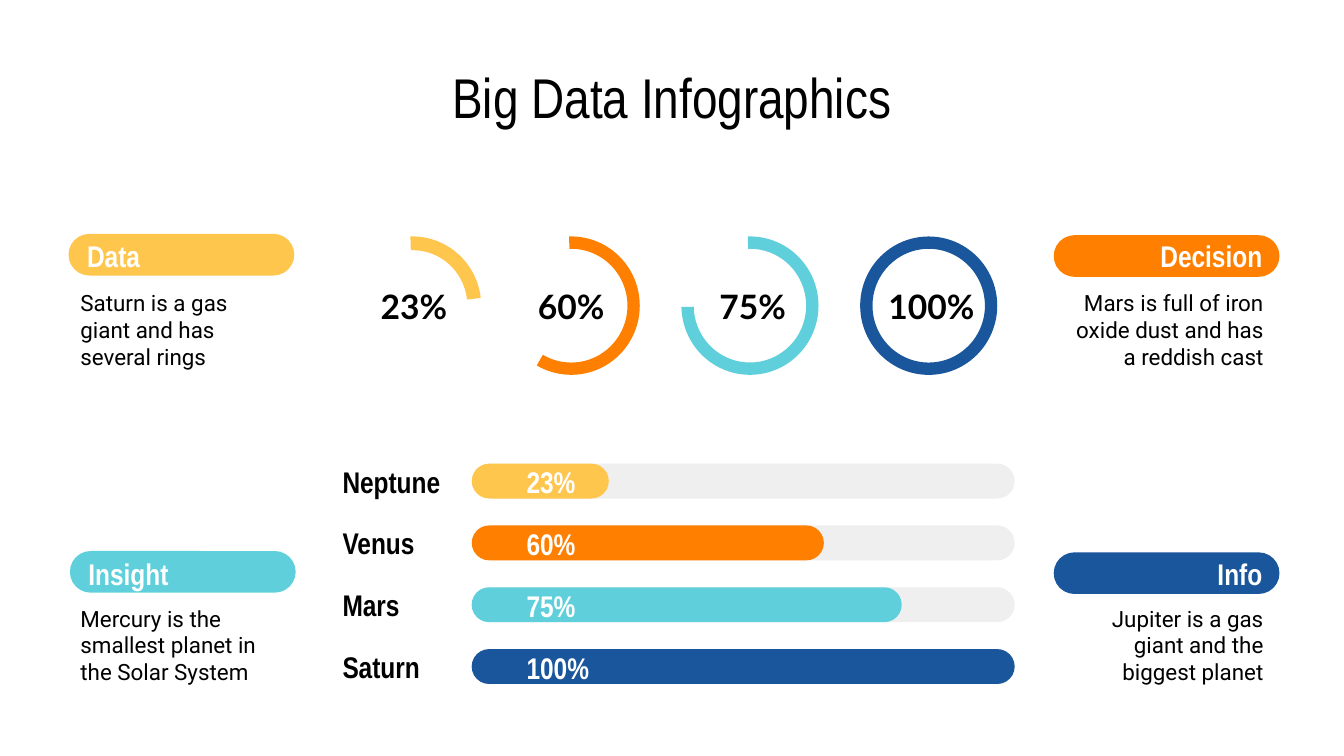
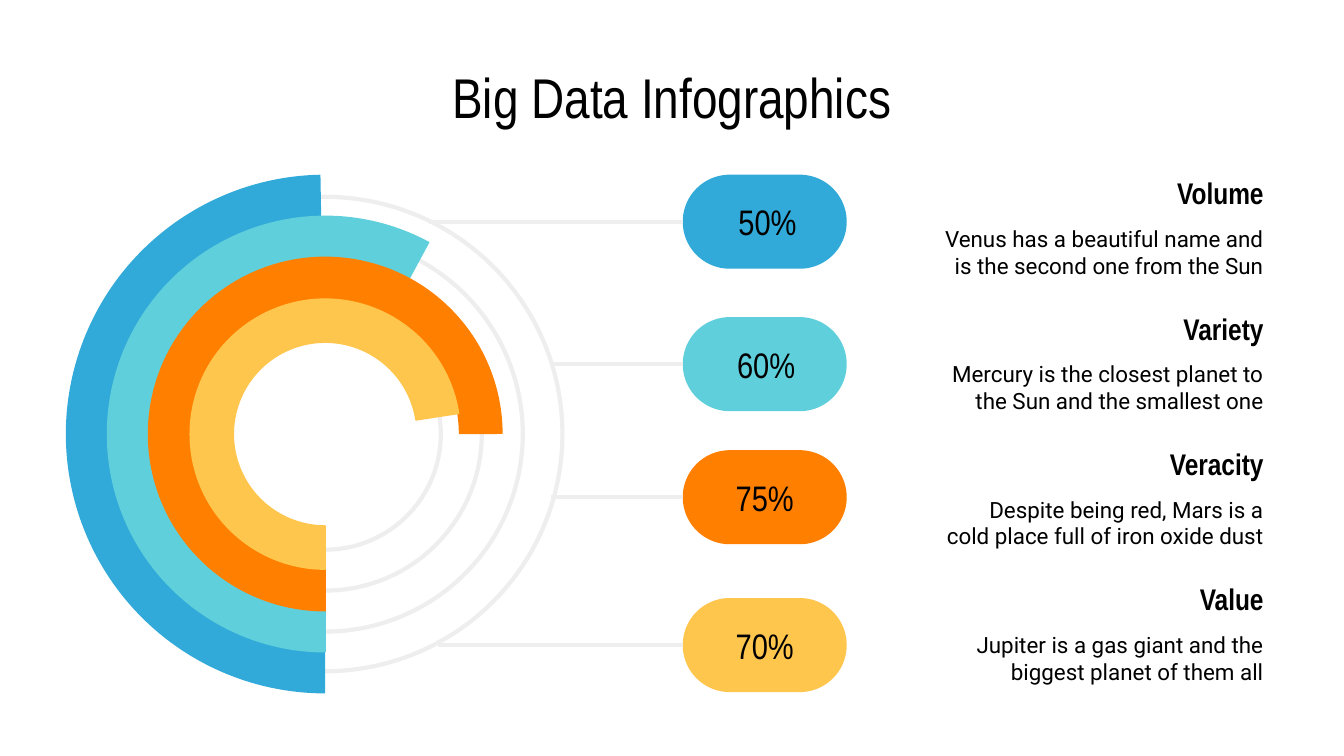
from dataclasses import dataclass
from typing import NamedTuple, Optional

from lxml.etree import SubElement
from pptx import Presentation
from pptx.dml.color import RGBColor
from pptx.enum.shapes import MSO_CONNECTOR, MSO_SHAPE
from pptx.enum.text import MSO_ANCHOR, PP_ALIGN
from pptx.oxml.ns import qn
from pptx.shapes.autoshape import Shape
from pptx.slide import Slide
from pptx.util import Inches, Pt


class Style(NamedTuple):
    font: str
    size: int
    color: str = "000000"
    bold: bool = False


@dataclass(frozen=True)
class Theme:
    gold: str = "FFC64E"
    orange: str = "FF8001"
    teal: str = "5FD0DB"
    navy: str = "1A569C"
    blue: str = "32AAD9"
    track: str = "EFEFEF"
    rule: str = "EEEEEE"
    rule_width: float = 2.25
    edge_width: float = 0.75
    title: Style = Style("Arial Narrow", 30)
    head: Style = Style("Arial Narrow", 16, bold=True)
    tag: Style = Style("Arial Narrow", 16, "FFFFFF", True)
    pill: Style = Style("Arial Narrow", 19)
    dial: Style = Style("Lato", 18, bold=True)
    body: Style = Style("Roboto", 12)


THEME = Theme()
LEFT, CENTER, RIGHT = PP_ALIGN.LEFT, PP_ALIGN.CENTER, PP_ALIGN.RIGHT


class Box(NamedTuple):
    left: float
    top: float
    width: float
    height: float

    def place(self) -> list[int]:
        return [Inches(side) for side in self]


class Card(NamedTuple):
    head: str
    body: str
    color: str
    tag_left: float
    tag_top: float
    head_left: float
    head_top: float
    body_left: float
    body_top: float
    align: PP_ALIGN


class Dial(NamedTuple):
    value: str
    color: str
    left: float
    text_left: float
    band: float
    end: Optional[float]


class Bar(NamedTuple):
    name: str
    value: str
    color: str
    width: float


class Ring(NamedTuple):
    color: str
    size: float
    band: float
    end: float
    edge: bool = True


class Point(NamedTuple):
    head: str
    body: str
    value: str
    color: str
    top: float
    text_left: float
    line_end: float


CARDS = [
    Card("Data", "Saturn is a gas giant and has several rings",
         THEME.gold, 0.51, 1.74, 0.55, 1.79, 0.5, 2.05, LEFT),
    Card("Decision", "Mars is full of iron oxide dust and has a reddish cast",
         THEME.orange, 7.84, 1.75, 8.42, 1.79, 7.82, 2.05, RIGHT),
    Card("Insight", "Mercury is the smallest planet in the Solar System",
         THEME.teal, 0.52, 4.1, 0.56, 4.15, 0.5, 4.4, LEFT),
    Card("Info", "Jupiter is a gas giant and the biggest planet",
         THEME.navy, 7.84, 4.11, 8.42, 4.15, 7.82, 4.4, RIGHT),
]
DIALS = [
    Dial("23%", THEME.gold, 2.56, 2.57, 0.1, 353.6),
    Dial("60%", THEME.orange, 3.74, 3.74, 0.09, 119.98),
    Dial("75%", THEME.teal, 5.07, 5.09, 0.09, 178.88),
    Dial("100%", THEME.navy, 6.4, 6.42, 0.09, None),
]
BARS = [
    Bar("Neptune", "23%", THEME.gold, 1.02),
    Bar("Venus", "60%", THEME.orange, 2.62),
    Bar("Mars", "75%", THEME.teal, 3.2),
    Bar("Saturn", "100%", THEME.navy, 4.04),
]
TRACKS = [2.94, 3.53, 2.33, 1.72]
RINGS = [
    Ring(THEME.blue, 3.86, 0.08, 268.95, False),
    Ring(THEME.teal, 3.24, 0.1, 298.36),
    Ring(THEME.orange, 2.63, 0.12, 359.76),
    Ring(THEME.gold, 2.01, 0.16, 351.19),
]
POINTS = [
    Point("Volume", "Venus has a beautiful name and is the second one from the Sun",
          "50%", THEME.blue, 1.3, 5.22, 3.19),
    Point("Variety", "Mercury is the closest planet to the Sun and the smallest one",
          "60%", THEME.teal, 2.36, 5.21, 4.1),
    Point("Veracity", "Despite being red, Mars is a cold place full of iron oxide dust",
          "75%", THEME.orange, 3.35, 5.2, 4.1),
    Point("Value", "Jupiter is a gas giant and the biggest planet of them all",
          "70%", THEME.gold, 4.45, 5.2, 3.26),
]


def add_form(slide: Slide, kind: MSO_SHAPE, box: Box, fill: Optional[str],
             line: Optional[str] = None, width: float = 0,
             tweaks: tuple[float, ...] = ()) -> Shape:
    form = slide.shapes.add_shape(kind, *box.place())
    form.shadow.inherit = False
    for i, tweak in enumerate(tweaks):
        form.adjustments[i] = tweak
    if fill:
        form.fill.solid()
        form.fill.fore_color.rgb = RGBColor.from_string(fill)
    else:
        form.fill.background()
    if line:
        form.line.color.rgb = RGBColor.from_string(line)
        form.line.width = Pt(width)
    else:
        form.line.fill.background()
    return form


def add_pill(slide: Slide, box: Box, fill: str) -> Shape:
    return add_form(slide, MSO_SHAPE.ROUNDED_RECTANGLE, box, fill, tweaks=(0.5,))


def add_arc(slide: Slide, box: Box, fill: str, start: float, end: float,
            band: float, line: Optional[str] = None) -> Shape:
    turns = (start * 0.6, end * 0.6, band)
    return add_form(slide, MSO_SHAPE.BLOCK_ARC, box, fill, line,
                    THEME.edge_width, turns)


def add_text(slide: Slide, box: Box, text: str, style: Style,
             align: PP_ALIGN = LEFT,
             anchor: MSO_ANCHOR = MSO_ANCHOR.MIDDLE) -> None:
    frame = slide.shapes.add_textbox(*box.place()).text_frame
    frame.word_wrap = True
    frame.vertical_anchor = anchor
    frame.margin_left = frame.margin_right = Inches(0.1)
    frame.margin_top = frame.margin_bottom = Inches(0.1)
    para = frame.paragraphs[0]
    para.alignment = align
    run = para.add_run()
    run.text = text
    run.font.name = style.font
    run.font.size = Pt(style.size)
    run.font.bold = style.bold
    run.font.color.rgb = RGBColor.from_string(style.color)


def add_lead(slide: Slide, pill: Shape, end: float) -> None:
    mid = pill.top + pill.height // 2
    lead = slide.shapes.add_connector(
        MSO_CONNECTOR.STRAIGHT, pill.left, mid, Inches(end), mid)
    lead.begin_connect(pill, 1)
    lead.line.color.rgb = RGBColor.from_string(THEME.rule)
    lead.line.width = Pt(THEME.rule_width)
    SubElement(lead.element.spPr, qn("a:effectLst"))


def add_title(slide: Slide) -> None:
    add_text(slide, Box(0.5, 0.45, 9, 0.53), "Big Data Infographics",
             THEME.title, CENTER)


def add_card(slide: Slide, card: Card) -> None:
    add_pill(slide, Box(card.tag_left, card.tag_top, 1.68, 0.31), card.color)
    add_text(slide, Box(card.head_left, card.head_top, 1.07, 0.23),
             card.head, THEME.tag, card.align)
    add_text(slide, Box(card.body_left, card.body_top, 1.68, 0.77),
             card.body, THEME.body, card.align, MSO_ANCHOR.TOP)


def add_dial(slide: Slide, dial: Dial) -> None:
    box = Box(dial.left, 1.76, 1.02, 1.03)
    if dial.end is None:
        add_form(slide, MSO_SHAPE.DONUT, box, dial.color, tweaks=(dial.band,))
    else:
        add_arc(slide, box, dial.color, 268.2, dial.end, dial.band)
    add_text(slide, Box(dial.text_left, 2.13, 1.02, 0.3),
             dial.value, THEME.dial, CENTER)


def add_bar(slide: Slide, bar: Bar, top: float) -> None:
    add_pill(slide, Box(3.55, top, 4, 0.26), THEME.track)
    add_pill(slide, Box(3.51, top, bar.width, 0.26), bar.color)
    add_text(slide, Box(2.45, top, 1.01, 0.26), bar.name, THEME.head)
    add_text(slide, Box(3.82, top + 0.02, 1.07, 0.23), bar.value, THEME.tag)


def hub_box(size: float) -> Box:
    return Box(2.42 - size / 2, 3.23 - size / 2, size, size)


def add_point(slide: Slide, point: Point, top: float) -> None:
    pill = add_pill(slide, Box(5.08, point.top, 1.22, 0.7), point.color)
    add_lead(slide, pill, point.line_end)
    add_text(slide, Box(point.text_left, point.top + 0.2, 0.98, 0.3),
             point.value, THEME.pill, CENTER)
    add_text(slide, Box(8.01, top, 1.49, 0.27), point.head, THEME.head, RIGHT)
    add_text(slide, Box(6.92, top + 0.29, 2.58, 0.57),
             point.body, THEME.body, RIGHT)


def draw_bars(slide: Slide) -> None:
    add_title(slide)
    for card in CARDS:
        add_card(slide, card)
    for i, bar in enumerate(BARS):
        add_bar(slide, bar, 3.45 + 0.46 * i)
    for dial in DIALS:
        add_dial(slide, dial)


def draw_rings(slide: Slide) -> None:
    for size in TRACKS:
        add_form(slide, MSO_SHAPE.OVAL, hub_box(size), None,
                 THEME.rule, THEME.rule_width)
    add_title(slide)
    for i, point in enumerate(POINTS):
        add_point(slide, point, 1.3 + 3.02 * i / 3)
    for ring in RINGS:
        add_arc(slide, hub_box(ring.size), ring.color, 90, ring.end,
                ring.band, ring.color if ring.edge else None)


def main() -> None:
    deck = Presentation()
    deck.slide_width = Inches(10)
    deck.slide_height = Inches(10 * 9 / 16)
    for draw in (draw_bars, draw_rings):
        draw(deck.slides.add_slide(deck.slide_layouts[6]))
    deck.save("out.pptx")


if __name__ == "__main__":
    main()
